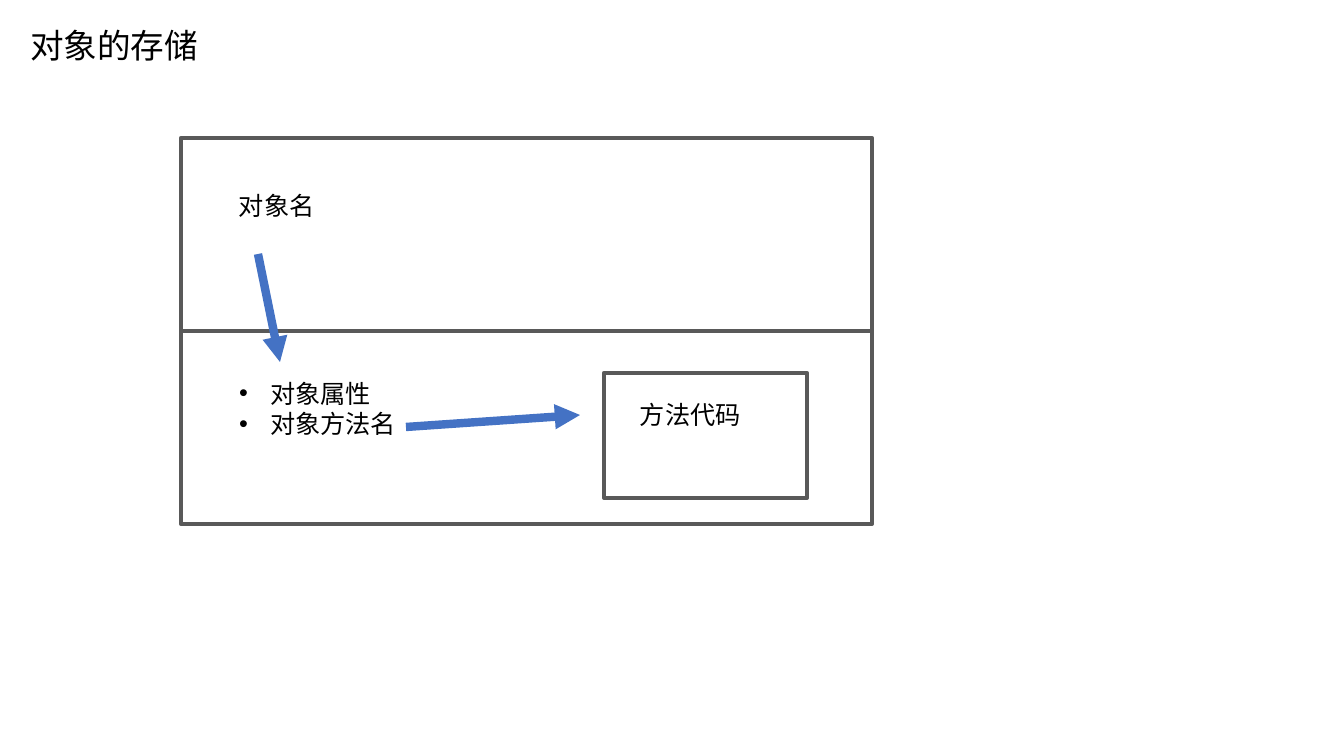
"""Build the slide that shows how an object is stored in memory."""
from pptx import Presentation, util as u
from pptx.dml.color import RGBColor
from pptx.enum import shapes, text
from pptx.oxml.ns import qn
from lxml import etree

SCALE = 914400 / 100.8
BLACK = RGBColor(0x00, 0x00, 0x00)
GREY = RGBColor(0x59, 0x59, 0x59)
BLUE = RGBColor(0x44, 0x72, 0xC4)


def emu(pixels):
    return u.Emu(round(pixels * SCALE))


class Painter:
    """Hold the style and the current slide, and draw each kind of element."""

    font = "Noto Sans CJK SC"
    title_size = 24
    text_size = 18
    box_line = 3
    arrow_line = 6
    indent = 31

    def __init__(self, slide):
        self.slide = slide

    def place(self, shape, left, top, width, height):
        shape.left, shape.top = emu(left), emu(top)
        shape.width, shape.height = emu(width), emu(height)

    def add_words(self, paragraph, words, size):
        run = paragraph.add_run()
        run.text = words
        run.font.size = u.Pt(size)
        run.font.color.rgb = BLACK
        run.font.name = self.font
        etree.SubElement(run._r.get_or_add_rPr(), qn("a:ea"), typeface=self.font)

    def title(self, words, *bounds):
        shape = self.slide.shapes.title
        self.place(shape, *bounds)
        frame = shape.text_frame
        frame.auto_size = text.MSO_AUTO_SIZE.NONE
        frame.vertical_anchor = text.MSO_ANCHOR.MIDDLE
        paragraph = frame.paragraphs[0]
        paragraph.alignment = text.PP_ALIGN.LEFT
        paragraph.line_spacing = 0.9
        self.add_words(paragraph, words, self.title_size)

    def bullets(self, items, *bounds):
        shape = self.slide.placeholders[1]
        self.place(shape, *bounds)
        frame = shape.text_frame
        frame.auto_size = text.MSO_AUTO_SIZE.NONE
        for index, words in enumerate(items):
            paragraph = frame.add_paragraph() if index else frame.paragraphs[0]
            paragraph.space_before = u.Pt(0)
            properties = paragraph._p.get_or_add_pPr()
            properties.set("marL", str(emu(self.indent)))
            properties.set("indent", str(-emu(self.indent)))
            self.add_words(paragraph, words, self.text_size)

    def label(self, words, *bounds):
        shape = self.slide.shapes.add_textbox(*map(emu, bounds))
        frame = shape.text_frame
        frame.word_wrap = True
        frame.auto_size = text.MSO_AUTO_SIZE.SHAPE_TO_FIT_TEXT
        self.add_words(frame.paragraphs[0], words, self.text_size)

    def box(self, *bounds):
        shape = self.slide.shapes.add_shape(
            shapes.MSO_SHAPE.RECTANGLE, *map(emu, bounds))
        shape.shadow.inherit = False
        shape.fill.background()
        shape.line.color.rgb = GREY
        shape.line.width = u.Pt(self.box_line)

    def arrow(self, *ends):
        connector = self.slide.shapes.add_connector(
            shapes.MSO_CONNECTOR.STRAIGHT, *map(emu, ends))
        connector.line.color.rgb = BLUE
        connector.line.width = u.Pt(self.arrow_line)
        properties = connector._element.spPr
        etree.SubElement(properties.find(qn("a:ln")), qn("a:tailEnd"), type="triangle")
        etree.SubElement(properties, qn("a:effectLst"))


presentation = Presentation()
presentation.slide_width, presentation.slide_height = emu(1344), emu(756)
painter = Painter(presentation.slides.add_slide(presentation.slide_layouts[1]))

memory_left, memory_top, memory_width, memory_height = 181, 138, 691, 193
text_left = 229

painter.title("对象的存储", 20, 20, 433, 55)
for row in range(2):
    painter.box(memory_left, memory_top + row * memory_height, memory_width, memory_height)
painter.label("对象名", text_left, 185, 159, 40)
painter.box(604, 373, 203, 125)
painter.bullets(["对象属性", "对象方法名"], text_left, 373, 225, 72)
painter.label("方法代码", 630, 394, 139, 40)
painter.arrow(258, 254, 280, 362)
painter.arrow(406, 427, 580, 415)

presentation.save("out.pptx")
